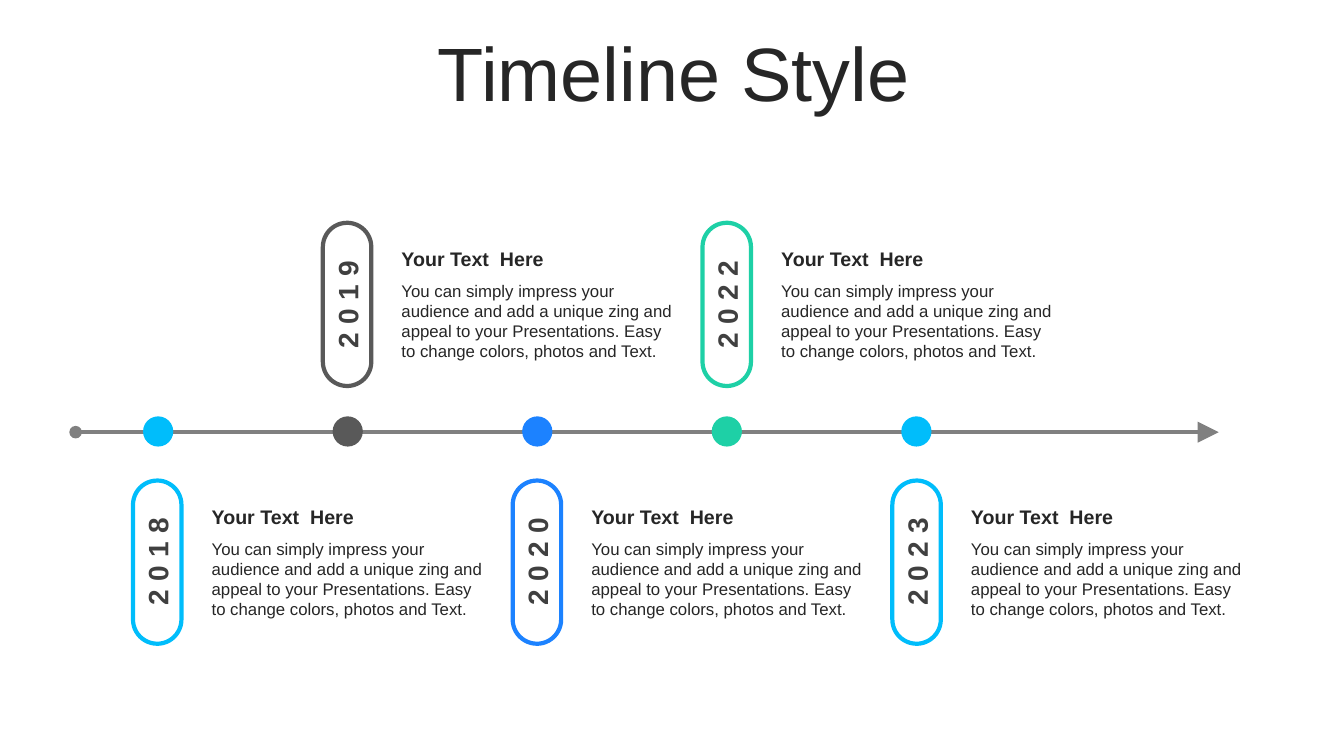
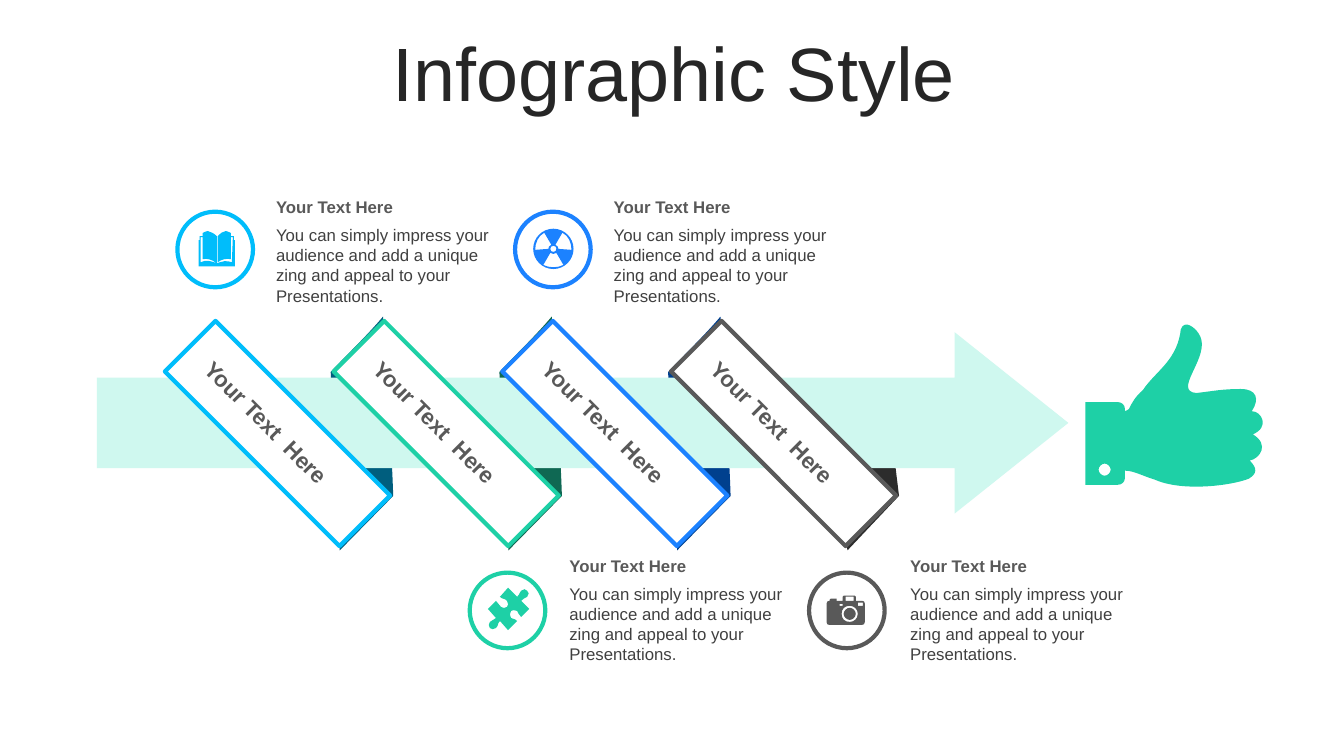
from dataclasses import dataclass

from lxml.etree import SubElement
from pptx import Presentation
from pptx.dml.color import RGBColor
from pptx.enum.shapes import MSO_CONNECTOR, MSO_SHAPE
from pptx.enum.text import MSO_ANCHOR, PP_ALIGN
from pptx.oxml.ns import qn
from pptx.util import Pt


@dataclass(frozen=True)
class Theme:
    font: str = "Arial"
    sky: str = "00BDFB"
    green: str = "1ED0A6"
    blue: str = "1C82FF"
    gray: str = "595959"
    ink: str = "262626"
    soft_ink: str = "404040"
    axis: str = "808080"
    pale_green: str = "CFF8EF"
    white: str = "FFFFFF"
    title_size: int = 54
    year_size: int = 20
    ribbon_size: int = 16
    heading_size: int = 14
    body_size: int = 12
    outline: int = 3


THEME = Theme()

# Content: timeline
TIMELINE_TITLE = "Timeline Style"
TIMELINE_HEADING = "Your Text  Here"
TIMELINE_BODY = ("You can simply impress your audience and add a unique zing and appeal "
                 "to your Presentations. Easy to change colors, photos and Text.")
MILESTONES = [("2018", THEME.sky), ("2019", THEME.gray), ("2020", THEME.blue),
              ("2022", THEME.green), ("2023", THEME.sky)]

# Content: infographic
INFOGRAPHIC_TITLE = "Infographic Style"
RIBBON_TEXT = "Your Text  Here"
CALLOUT_HEADING = "Your Text Here"
CALLOUT_BODY = ("You can simply impress your audience and add a unique zing and appeal "
                "to your Presentations.")
RIBBON_COLORS = [THEME.sky, THEME.green, THEME.blue, THEME.gray]
FOLD_COLORS = ["005E7E", "0F6853", "00408E"]
LAST_FOLD_COLOR = "2C2C2C"

# Outlines on a grid of GRID points: M move, L line, C curve, Z close
GRID = 0.72
FOLD = "M 0 55 L 9 232 L 62 178 C 60 116 56 89 52 0 C 36 19 16 38 0 55 Z"
LAST_FOLD = "M 0 4 L 69 0 L 80 90 L 29 144 C 18 99 12 49 0 4 Z"
BOOK = """M 18 32 C 24 30 27 29 33 31 L 34 6 L 32 6 L 32 28 C 28 27 23 28 19 31 L 19 5
C 21 2 24 1 27 0 C 28 0 30 1 32 2 L 32 5 L 35 5 L 35 9 L 36 9 L 36 35 L 0 35 L 0 9
L 1 9 L 1 5 L 4 5 L 4 2 C 6 1 8 0 9 0 C 12 1 15 2 18 5 L 18 32 C 13 28 8 27 4 28
L 4 6 L 2 6 L 2 31 C 8 28 12 30 18 32 Z"""
RADIATION = """M 17 24 L 10 36 C 16 39 24 39 30 36 L 23 24 C 22 25 21 25 20 25
C 19 25 18 25 17 24 Z
M 20 17 C 18 17 17 18 17 20 C 17 22 18 23 20 23 C 22 23 23 22 23 20 C 23 18 22 17 20 17 Z
M 29 4 L 22 16 C 24 17 25 18 25 20 L 38 21 C 38 14 35 7 29 4 Z
M 11 4 C 5 7 2 14 2 21 L 15 20 C 15 18 16 17 18 16 Z
M 20 0 C 31 0 40 9 40 20 C 40 31 31 40 20 40 C 9 40 0 31 0 20 C 0 9 9 0 20 0 Z"""
PUZZLE = """M 39 3 C 41 4 41 7 39 9 C 37 11 35 10 33 13 L 41 21 L 33 29 C 30 27 31 25 29 23
C 27 22 24 22 23 23 C 22 25 21 28 23 30 C 26 32 26 30 29 33 L 20 42 L 12 33
C 9 36 11 37 8 40 C 6 42 3 41 2 40 C 1 38 0 36 2 34 C 4 31 6 33 8 30 L 0 21 L 8 13
C 11 15 10 17 13 19 C 15 21 17 20 19 19 C 20 18 21 15 19 13 C 16 10 15 12 12 9
L 20 0 L 29 9 C 32 6 31 5 33 3 C 35 1 38 1 39 3 Z"""
CAMERA = """M 23 12 C 26 12 29 15 29 18 C 29 21 26 24 23 24 C 20 24 17 21 17 18
C 17 15 20 12 23 12 Z
M 23 10 C 18 10 15 13 15 18 C 15 23 18 26 23 26 C 27 26 31 23 31 18 C 31 13 27 10 23 10 Z
M 13 8 L 13 10 L 16 10 L 16 8 Z M 31 7 L 31 10 L 36 10 L 36 7 Z
M 19 1 L 19 5 L 27 5 L 27 1 Z
M 17 0 L 28 0 C 29 0 29 0 29 1 L 29 5 L 35 5 C 37 5 38 6 38 8 L 38 26
C 38 28 37 29 35 29 L 3 29 C 1 29 0 28 0 26 L 0 8 C 0 6 1 5 3 5 L 3 4 C 3 3 4 3 4 3
L 10 3 L 10 5 L 16 5 L 16 1 C 16 0 17 0 17 0 Z"""
THUMB = """M 19 138 C 16 138 13 141 13 144 C 13 147 16 150 19 150 C 22 150 25 147 25 144
C 25 141 22 138 19 138 Z
M 100 0 C 105 0 113 7 115 15 C 120 36 87 66 110 68 C 127 66 136 64 154 64
C 170 64 173 74 165 86 C 175 86 183 102 166 109 C 183 119 173 133 163 135
C 171 143 170 148 162 153 C 144 160 96 166 69 154 C 56 150 48 145 39 145 L 39 153
C 39 156 36 159 32 159 L 0 159 L 0 77 L 32 77 C 36 77 39 80 39 83 L 39 86
C 40 86 41 85 43 84 C 46 78 49 72 57 65 C 69 47 89 37 94 9 C 94 3 97 0 100 0 Z"""

# Callouts: circle corner, text corner, icon corner, icon, color
CALLOUTS = [((126.7, 151.2), (190.1, 137.2), (141.9, 165), BOOK, THEME.sky),
            ((367.9, 151.2), (431.3, 137.2), (380.9, 163.4), RADIATION, THEME.blue),
            ((335.5, 409), (399.6, 393.3), (348.5, 419.8), PUZZLE, THEME.green),
            ((577.9, 409), (643, 393.3), (590.4, 425.5), CAMERA, THEME.gray)]


# Shared drawing
def paint(shape, fill, line=None):
    shape.shadow.inherit = False
    shape.fill.solid()
    shape.fill.fore_color.rgb = RGBColor.from_string(fill)
    if line:
        shape.line.color.rgb = RGBColor.from_string(line)
        shape.line.width = Pt(THEME.outline)
    else:
        shape.line.fill.background()


def add_preset(slide, kind, box, fill, line=None, rotation=0):
    shape = slide.shapes.add_shape(kind, *map(Pt, box))
    paint(shape, fill, line)
    shape.rotation = rotation
    return shape


def write(shape, text, size, color, bold=False, align=PP_ALIGN.LEFT,
          anchor=MSO_ANCHOR.TOP, wrap=True):
    frame = shape.text_frame
    frame.text = text
    frame.word_wrap = wrap
    frame.vertical_anchor = anchor
    paragraph = frame.paragraphs[0]
    paragraph.alignment = align
    font = paragraph.runs[0].font
    font.name, font.size, font.bold = THEME.font, Pt(size), bold
    font.color.rgb = RGBColor.from_string(color)
    return paragraph


def add_text(slide, box, text, size, color, **options):
    return write(slide.shapes.add_textbox(*map(Pt, box)), text, size, color, **options)


def read_contours(outline):
    """Turn an outline into contours, each a list of segments, each a list of points."""
    contours = []
    tokens = iter(outline.split())
    for command in tokens:
        if command == "Z":
            continue
        segment = [(int(next(tokens)), int(next(tokens)))
                   for _ in range(3 if command == "C" else 1)]
        if command == "M":
            contours.append([])
        contours[-1].append(segment)
    return contours


def add_outline(slide, left, top, outline, fill):
    contours = read_contours(outline)
    builder = slide.shapes.build_freeform(*contours[0][0][0], scale=Pt(GRID))
    for index, (start, *segments) in enumerate(contours):
        if index:
            builder.move_to(*start[0])
        builder.add_line_segments([segment[-1] for segment in segments], close=True)
    shape = builder.convert_to_shape(Pt(left), Pt(top))
    paint(shape, fill)

    # Bend the straight segments that stand for curves
    ends = [segment[-1] for contour in contours for segment in contour]
    min_x, min_y = (min(values) for values in zip(*ends))
    segments = [segment for contour in contours for segment in contour[1:]]
    for line, segment in zip(list(shape._element.iter(qn("a:lnTo"))), segments):
        if len(segment) == 3:
            curve = SubElement(line.getparent(), qn("a:cubicBezTo"))
            for x, y in segment:
                SubElement(curve, qn("a:pt"), x=str(x - min_x), y=str(y - min_y))
            line.getparent().replace(line, curve)


def add_titled_slide(presentation, title):
    slide = presentation.slides.add_slide(presentation.slide_layouts[6])
    paragraph = add_text(slide, (25.5, 26.6, 911.5, 56.9), title, THEME.title_size, THEME.ink,
                         align=PP_ALIGN.CENTER, anchor=MSO_ANCHOR.MIDDLE)
    paragraph.line_spacing = 0.9
    return slide


# Timeline slide
def add_axis(slide, start, end, y):
    axis = slide.shapes.add_connector(MSO_CONNECTOR.STRAIGHT, Pt(start), Pt(y), Pt(end), Pt(y))
    axis.line.color.rgb = RGBColor.from_string(THEME.axis)
    axis.line.width = Pt(THEME.outline)
    line = axis.line._get_or_add_ln()
    SubElement(line, qn("a:headEnd"), type="oval")
    SubElement(line, qn("a:tailEnd"), type="triangle", w="lg", len="lg")
    SubElement(axis._element.spPr, qn("a:effectLst"))


def build_timeline(presentation):
    slide = add_titled_slide(presentation, TIMELINE_TITLE)
    marker, pill_length, pill_width = 21.6, 116.6, 34.6
    add_axis(slide, 54, 870.5, 308.7)
    for index, (year, color) in enumerate(MILESTONES):
        marker_left = 102.2 + index * 135.4
        pill_center = 112.3 + index * 135.6
        center_y = 217.4 if index % 2 else 401.5
        add_preset(slide, MSO_SHAPE.OVAL, (marker_left, 297.4, marker, marker), color)
        pill = add_preset(slide, MSO_SHAPE.ROUNDED_RECTANGLE,
                          (pill_center - pill_length / 2, center_y - pill_width / 2,
                           pill_length, pill_width), THEME.white, color, rotation=270)
        pill.adjustments[0] = 0.5
        label = write(pill, year, THEME.year_size, THEME.soft_ink, bold=True,
                      align=PP_ALIGN.CENTER, anchor=MSO_ANCHOR.MIDDLE, wrap=False)
        label.runs[0].font._element.set("spc", "600")
        text_left = pill_center + 31.8
        add_text(slide, (text_left, center_y - 45, 211.7, 24.5), TIMELINE_HEADING,
                 THEME.heading_size, THEME.ink, bold=True, anchor=MSO_ANCHOR.MIDDLE)
        add_text(slide, (text_left, center_y - 20.5, 211.7, 65.5), TIMELINE_BODY,
                 THEME.body_size, THEME.ink)


# Infographic slide
def build_infographic(presentation):
    slide = add_titled_slide(presentation, INFOGRAPHIC_TITLE)
    pitch = 120.5
    for index, color in enumerate(FOLD_COLORS):
        add_outline(slide, 236.2 + index * pitch, 226.1, FOLD, color)
    add_outline(slide, 584.6, 289.4, LAST_FOLD, LAST_FOLD_COLOR)

    arrow = add_preset(slide, MSO_SHAPE.RIGHT_ARROW, (69.1, 237.3, 694, 129.6),
                       THEME.pale_green)
    arrow.adjustments[1] = 0.627

    for index, color in enumerate(RIBBON_COLORS):
        ribbon = add_preset(slide, MSO_SHAPE.RECTANGLE,
                            (110 + index * pitch, 284.1, 176.4, 51.1),
                            THEME.white, color, rotation=45)
        write(ribbon, RIBBON_TEXT, THEME.ribbon_size, THEME.gray, bold=True,
              anchor=MSO_ANCHOR.MIDDLE)
        ribbon.text_frame.margin_left = Pt(19)

    diameter = 54
    for circle_corner, (text_left, text_top), icon_corner, icon, color in CALLOUTS:
        add_preset(slide, MSO_SHAPE.OVAL, (*circle_corner, diameter, diameter),
                   THEME.white, color)
        add_outline(slide, *icon_corner, icon, color)
        add_text(slide, (text_left, text_top, 169.2, 21.6), CALLOUT_HEADING,
                 THEME.body_size, THEME.gray, bold=True)
        add_text(slide, (text_left, text_top + 19.8, 169.2, 65.5), CALLOUT_BODY,
                 THEME.body_size, THEME.soft_ink)

    add_outline(slide, 775.4, 231.8, THUMB, THEME.green)


def main():
    presentation = Presentation()
    presentation.slide_width, presentation.slide_height = Pt(960), Pt(540)
    build_timeline(presentation)
    build_infographic(presentation)
    presentation.save("out.pptx")


if __name__ == "__main__":
    main()
